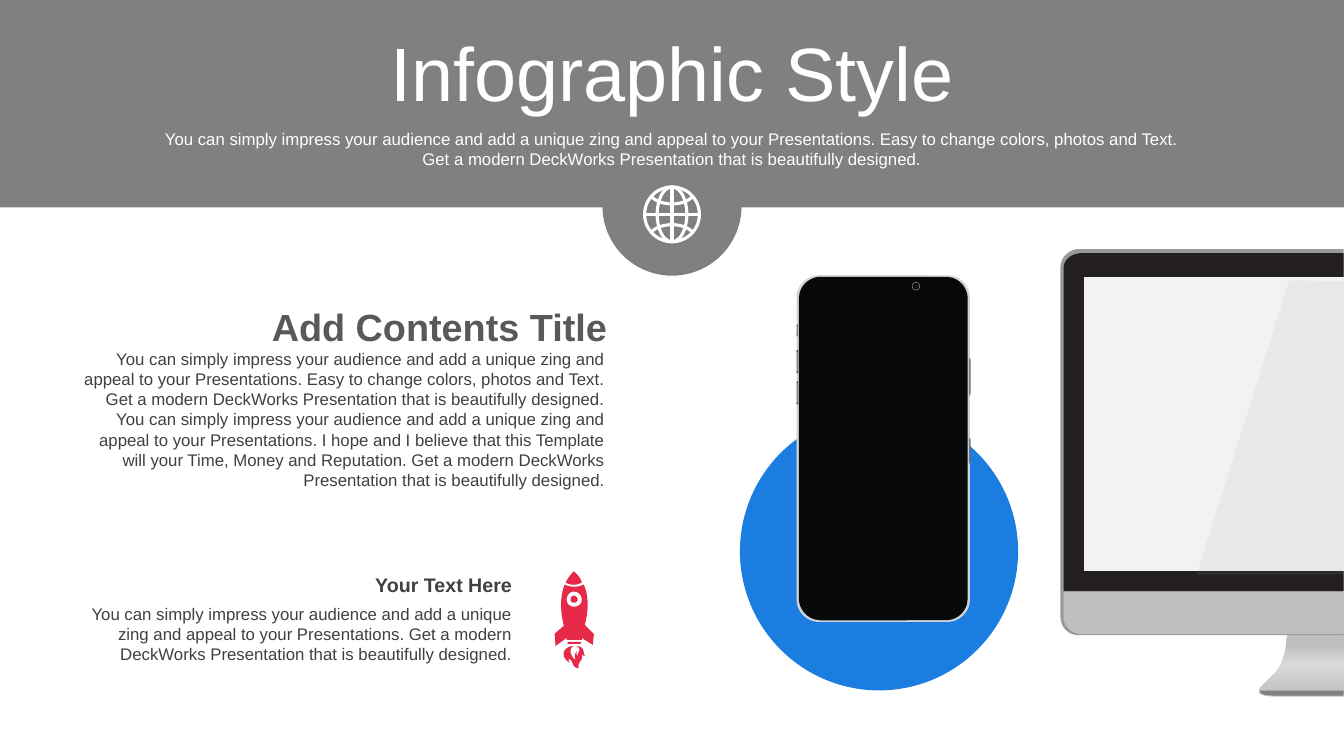
from lxml import etree
from pptx import Presentation
from pptx.dml.color import RGBColor
from pptx.enum.shapes import MSO_SHAPE, MSO_CONNECTOR
from pptx.enum.text import PP_ALIGN, MSO_ANCHOR, MSO_AUTO_SIZE
from pptx.oxml import parse_xml
from pptx.oxml.ns import qn, nsdecls
from pptx.util import Pt

WHITE = RGBColor(0xFF, 0xFF, 0xFF)
GRAY = RGBColor(0x80, 0x80, 0x80)
TEXT = RGBColor(0x40, 0x40, 0x40)
HEAD = RGBColor(0x59, 0x59, 0x59)
BLUE = RGBColor(0x1C, 0x7D, 0xE1)
RED = RGBColor(0xE6, 0x29, 0x49)
EDGE = RGBColor(0x99, 0x99, 0x99)
BEZEL = RGBColor(0x23, 0x1F, 0x20)
CHIN = RGBColor(0xBF, 0xBF, 0xBF)
PANEL = RGBColor(0xF2, 0xF2, 0xF2)
CASE = RGBColor(0xD0, 0xD4, 0xD8)
BLACK = RGBColor(0x07, 0x08, 0x08)
KEY = RGBColor(0x36, 0x45, 0x51)
SHINE = RGBColor(0xFA, 0xFD, 0xFF)
STEEL = RGBColor(0x8A, 0x90, 0x96)
DARK = RGBColor(0x4A, 0x4C, 0x4D)
RING = RGBColor(0xA6, 0xA6, 0xA6)
LENS = RGBColor(0x26, 0x26, 0x26)
PUPIL = RGBColor(0x08, 0x14, 0x22)

WIDE, HIGH = 960, 540
STEP = 0.72  # points per unit in outline strings

LEAD = "You can simply impress your audience and add a unique zing and appeal to your Presentations. "
EASY = "Easy to change colors, photos and Text. "
MODERN = "Get a modern DeckWorks Presentation that is beautifully designed."
HOPE = "I hope and I believe that this Template will your Time, Money and Reputation. "

ROCKET = (
    # Flame
    "M 19 74 C 15 75 14 83 21 88 C 19 83 21 81 22 79 C 22 80 21 83 23 84 "
    "C 22 80 28 78 22 74 C 30 75 28 79 30 84 C 28 84 26 80 27 82 "
    "C 29 89 22 90 24 96 C 17 96 19 89 15 87 C 14 87 13 88 15 91 C 3 82 11 74 19 74 Z "
    # Nozzle
    "M 13 70 L 27 70 C 26 70 26 71 26 72 L 13 72 Z "
    # Window
    "M 19 24 C 21 24 23 26 23 28 C 23 30 21 31 19 31 C 17 31 16 30 16 28 C 16 26 17 24 19 24 Z "
    "M 19 20 C 15 20 12 24 12 28 C 12 32 15 35 19 35 C 24 35 27 32 27 28 C 27 24 24 20 19 20 Z "
    # Body and fins
    "M 10 13 C 16 16 23 16 29 13 C 35 27 33 41 30 53 L 39 62 L 38 73 L 27 66 L 27 68 "
    "L 12 68 L 12 66 L 1 74 L 0 62 L 9 54 L 9 53 C 6 41 5 26 10 13 Z "
    # Nose
    "M 19 0 C 23 3 26 7 27 11 C 22 14 16 14 11 11 C 13 7 16 3 19 0 Z")


def paint(shape, fill=None, line=None, width=1):
    shape.shadow.inherit = False
    if fill is None:
        shape.fill.background()
    else:
        shape.fill.solid()
        shape.fill.fore_color.rgb = fill
    if line is None:
        shape.line.fill.background()
    else:
        shape.line.color.rgb = line
        shape.line.width = Pt(width)
    return shape


def form(slide, kind, x, y, w, h, fill=None, line=None, width=1):
    shape = slide.shapes.add_shape(kind, Pt(x), Pt(y), Pt(w), Pt(h))
    return paint(shape, fill, line, width)


def disc(slide, x, y, size, fill):
    """Circle around the centre x, y."""
    return form(slide, MSO_SHAPE.OVAL, x - size / 2, y - size / 2, size, size, fill)


def bend(a, b, c, d, parts=12):
    """Points along a cubic curve, without its start."""
    for i in range(1, parts + 1):
        t = i / parts
        u = 1 - t
        yield tuple(u**3 * p + 3 * u * u * t * q + 3 * u * t * t * r + t**3 * s
                    for p, q, r, s in zip(a, b, c, d))


def trace(slide, x, y, route, fill=None, line=None, width=1):
    """Draw an outline of M, L, C and Z marks from the corner x, y."""
    def place(p):
        return Pt(x + STEP * p[0]), Pt(y + STEP * p[1])

    marks = iter(route.split())
    pen, now = None, None
    for mark in marks:
        if mark == "Z":
            pen.add_line_segments([], close=True)
            continue
        count = 3 if mark == "C" else 1
        pts = [(float(next(marks)), float(next(marks))) for _ in range(count)]
        if mark == "M" and pen is None:
            pen = slide.shapes.build_freeform(*place(pts[0]))
        elif mark == "M":
            pen.move_to(*place(pts[0]))
        else:
            run = bend(now, *pts) if mark == "C" else pts
            pen.add_line_segments([place(p) for p in run], close=False)
        now = pts[-1]
    return paint(pen.convert_to_shape(), fill, line, width)


def write(slide, x, y, w, h, words, size, color, align, bold=False):
    box = slide.shapes.add_textbox(Pt(x), Pt(y), Pt(w), Pt(h))
    frame = box.text_frame
    frame.word_wrap = True
    frame.auto_size = MSO_AUTO_SIZE.SHAPE_TO_FIT_TEXT
    para = frame.paragraphs[0]
    para.alignment = align
    run = para.add_run()
    run.text = words
    font = run.font
    font.name, font.size, font.bold = "Arial", Pt(size), bold
    font.color.rgb = color
    return frame


def screen(slide, x, y):
    """Desktop display, cut off by the slide edge."""
    stand = trace(slide, x, y, "M 225 382 L 281 382 L 281 444 L 215 444 "
                  "C 183 444 201 433 213 421 C 225 408 225 382 225 382 Z", CHIN)
    stand.fill.gradient()
    stand.fill.gradient_angle = 90
    stops = next(stand._element.iter(qn("a:gsLst")))
    for old in list(stops):
        stops.remove(old)
    for spot, tone in ((0, CHIN), (53, "D9D9D9"), (83, CHIN), (100, CHIN)):
        stops.append(parse_xml(f'<a:gs {nsdecls("a")} pos="{spot * 1000}">'
                               f'<a:srgbClr val="{tone}"/></a:gs>'))
    for route, fill in (
            ("M 18 0 L 281 0 L 281 383 L 17 383 C 8 383 0 375 0 365 L 0 18 C 0 8 9 0 18 0 Z", EDGE),
            ("M 21 4 L 281 4 L 281 339 L 3 339 L 3 19 C 3 10 12 4 21 4 Z", BEZEL),
            ("M 198 438 L 281 438 L 281 443 L 216 443 C 203 443 198 442 198 438 Z", GRAY),
            ("M 3 340 L 281 340 L 281 382 L 21 382 C 12 382 3 374 3 366 Z", CHIN),
            ("M 23 28 L 281 28 L 281 319 L 23 319 Z", PANEL)):
        trace(slide, x, y, route, fill)
    glare = trace(slide, x, y, "M 227 31 L 281 32 L 281 323 L 135 323 Z", EDGE)
    tint = next(glare._element.spPr.iter(qn("a:srgbClr")))
    etree.SubElement(tint, qn("a:alpha")).set("val", "10000")


def phone(slide, x, y, w, h):
    for gap, fill in ((0, CASE), (1.6, BLACK)):
        body = form(slide, MSO_SHAPE.ROUNDED_RECTANGLE, x + gap, y + gap * 0.7,
                    w - 2 * gap, h - 2 * gap * 0.7, fill)
        body.adjustments[0] = 0.13
    # Side keys
    for left, top, wide, tall, rim, core in (
            (0, 35.3, 0.8, 8.4, KEY, SHINE), (0, 53.5, 1.2, 16.4, KEY, SHINE),
            (0, 75.8, 1.2, 16.4, KEY, SHINE), (w - 0.7, 59, 1, 27, STEEL, DARK),
            (w - 0.7, 116, 1, 18.6, STEEL, DARK)):
        form(slide, MSO_SHAPE.RECTANGLE, x + left, y + top, wide, tall, rim)
        inset = 0.5 if left else 0
        form(slide, MSO_SHAPE.RECTANGLE, x + left + inset, y + top + 1.2,
             wide / 2, tall - 2.4, core)
    # Camera
    for size, fill in ((5.8, RING), (5, BLACK), (2.2, LENS), (1.4, PUPIL)):
        disc(slide, x + 85.2, y + 7.9, size, fill)


def globe(slide, x, y, r):
    """Line globe around the centre x, y."""
    for wide in (r, r * 0.54):
        form(slide, MSO_SHAPE.OVAL, x - wide, y - r, 2 * wide, 2 * r, None, WHITE, 2.2)
    for dx, dy in ((r, 0), (0, r)):
        bar = slide.shapes.add_connector(MSO_CONNECTOR.STRAIGHT, Pt(x - dx), Pt(y - dy),
                                         Pt(x + dx), Pt(y + dy))
        bar.line.color.rgb = WHITE
        bar.line.width = Pt(2.2)
        etree.SubElement(bar._element.spPr, qn("a:effectLst"))
    for sign in (-1, 1):
        far, near = sign * 17, sign * 8
        trace(slide, x, y, f"M -20 {far} C -10 {near} 10 {near} 20 {far}", None, WHITE, 2.2)


def banner(slide, x, y, w, h):
    mid = x + w / 2
    form(slide, MSO_SHAPE.RECTANGLE, x, y, w, h, GRAY)
    disc(slide, mid, y + h - 1, 99.4, GRAY)
    title = write(slide, x + 25, y + 26.6, w - 50, 57, "Infographic Style", 54, WHITE, PP_ALIGN.CENTER)
    title.auto_size = MSO_AUTO_SIZE.NONE
    title.vertical_anchor = MSO_ANCHOR.MIDDLE
    title.paragraphs[0].line_spacing = 0.9
    write(slide, x + 108, y + 88.6, w - 216, 36, LEAD + EASY + MODERN, 12, WHITE, PP_ALIGN.CENTER)
    globe(slide, mid, y + h + 4.9, 19.6)


def story(slide, x, y, w):
    write(slide, x, y, w + 1.5, 40, "Add Contents Title", 27, HEAD, PP_ALIGN.RIGHT, True)
    words = LEAD + EASY + MODERN + " " + LEAD + HOPE + MODERN
    write(slide, x, y + 32.4, w, 109, words, 12, TEXT, PP_ALIGN.RIGHT)


def note(slide, x, y, w):
    write(slide, x, y, w, 24.5, "Your Text Here", 14, TEXT, PP_ALIGN.RIGHT, True)
    write(slide, x, y + 21.6, w, 51, LEAD + MODERN, 12, TEXT, PP_ALIGN.RIGHT)
    trace(slide, x + w + 23.2, y + 2.2, ROCKET, RED)


def main():
    deck = Presentation()
    deck.slide_width, deck.slide_height = Pt(WIDE), Pt(HIGH)
    slide = deck.slides.add_slide(deck.slide_layouts[6])
    screen(slide, 757.5, 177.9)
    banner(slide, 0, 0, WIDE, 148.2)
    disc(slide, 627.9, 393.8, 198.7, BLUE)
    phone(slide, 569, 196.6, 123.8, 247.6)
    story(slide, 51.8, 213.1, 387.4)
    note(slide, 51.8, 406, 321.1)
    deck.save("out.pptx")


if __name__ == "__main__":
    main()
